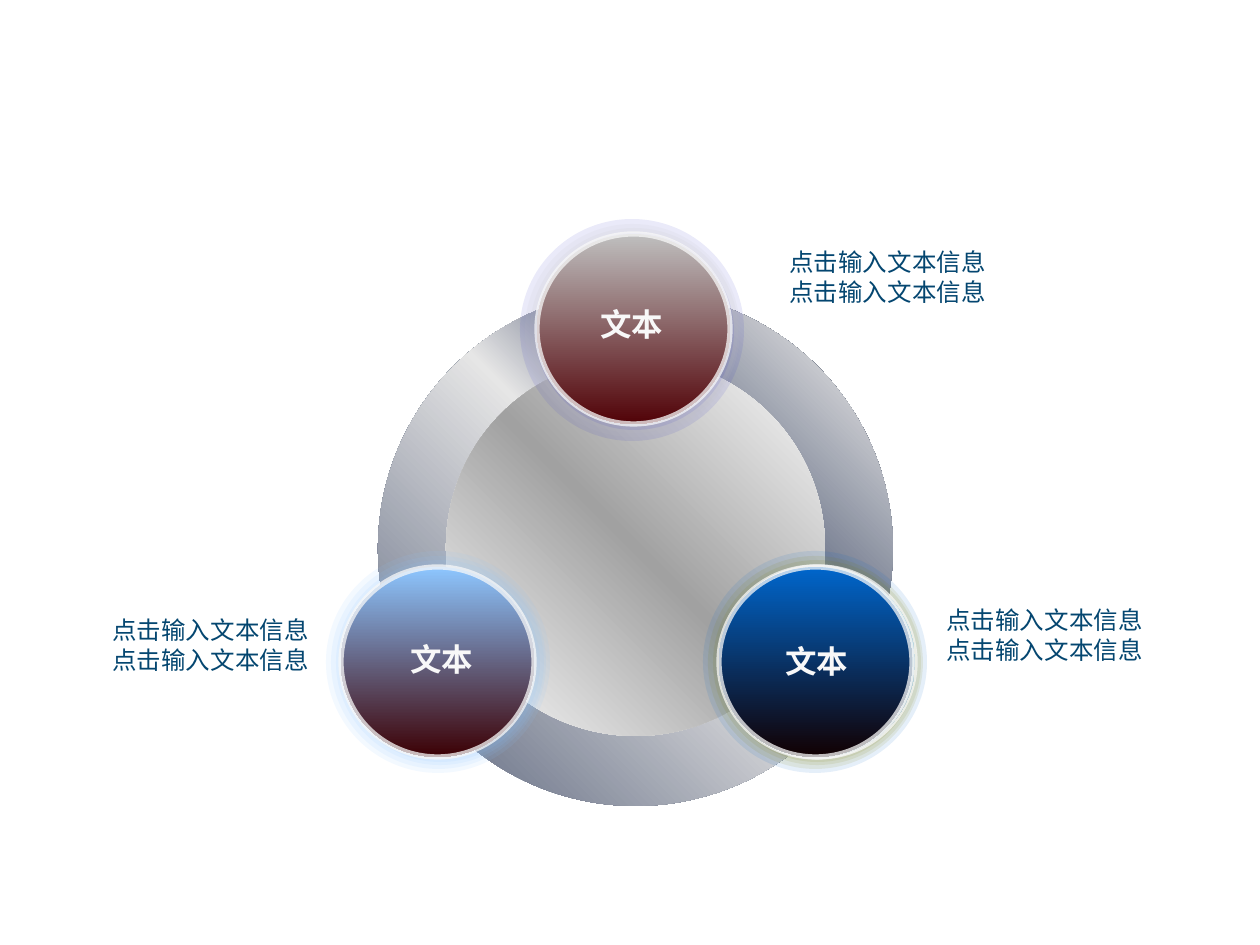
from lxml import etree
from pptx import Presentation
from pptx.dml.color import RGBColor as RGB
from pptx.enum.shapes import MSO_SHAPE as SHAPE
from pptx.enum.text import MSO_AUTO_SIZE as FIT, PP_ALIGN as ALIGN
from pptx.oxml.ns import qn
from pptx.util import Pt

EMU = 914400 / 126  # one px
C = dict(white="FFFFFF", silver="E6E6E6", slate="7D8496", grey="A1A1A1",
         text="044670", edge="F8F8F8", violet="3333CC", ash="BFBFBF",
         maroon="510207", sky="8DC6FF", wine="3C0004", blue="0066CC",
         olive="817E00", black="120001", cyan="0099CC", teal="003141")


def add_circle(x, y, w, h, stops, angle=0, alpha=100, edge=False):
    """Ellipse with a solid colour name, or a list of (percent, colour) stops."""
    sp = s.shapes.add_shape(SHAPE.OVAL, *[round(v * EMU) for v in (x, y, w, h)])
    sp.shadow.inherit = False
    if isinstance(stops, str):
        sp.fill.solid()
        sp.fill.fore_color.rgb = RGB.from_string(C[stops])
        set_alpha = sp.fill._xPr.find(".//" + qn("a:srgbClr"))
        etree.SubElement(set_alpha, qn("a:alpha"), val=str(alpha * 1000))
    else:
        sp.fill.gradient()
        grad = sp._element.spPr.find(qn("a:gradFill"))
        gs_list = grad.find(qn("a:gsLst"))
        for gs in list(gs_list):
            gs_list.remove(gs)
        for pos, name in stops:
            gs = etree.SubElement(gs_list, qn("a:gs"), pos=str(pos * 1000))
            etree.SubElement(gs, qn("a:srgbClr"), val=C[name])
        grad.find(qn("a:lin")).set("ang", str(angle * 60000))
    if edge:
        sp.line.color.rgb = RGB.from_string(C["edge"])
        sp.line.width = Pt(3)
        clr = sp.line._ln.find(".//" + qn("a:srgbClr"))
        etree.SubElement(clr, qn("a:alpha"), val="75000")
    else:
        sp.line.fill.background()


def add_text(x, y, w, h, lines, size, color, align=ALIGN.LEFT, bold=False):
    tf = s.shapes.add_textbox(*[round(v * EMU) for v in (x, y, w, h)]).text_frame
    tf.word_wrap = True
    tf.auto_size = FIT.SHAPE_TO_FIT_TEXT
    tf.text = "\n".join(lines)
    for p in tf.paragraphs:
        p.alignment = align
        for r in p.runs:
            r.font.name, r.font.size, r.font.bold = "Arial", Pt(size), bold
            r.font.color.rgb = RGB.from_string(C[color])


prs = Presentation()
prs.slide_width, prs.slide_height = round(1260 * EMU), round(945 * EMU)
s = prs.slides.add_slide(prs.slide_layouts[6])

# Ring and its inner disc
add_circle(378, 291, 515, 515, [(0, "silver"), (15, "slate"), (53, "silver"),
                                (68, "slate"), (93, "silver"), (100, "white")], 315)
add_circle(446, 358, 379, 378, [(0, "white"), (50, "grey"), (100, "white")], 315)

# Captions
for x, y, w in [(777, 241, 282), (100, 609, 268), (934, 599, 282)]:
    add_text(x, y, w, 72, ["点击输入文本信息"] * 2, 14, "text")

# Nodes: origin, halo colours, discs (dx, dy, top, bottom), label offset
halos = [(0, 0, 224, 222), (5, 5, 215, 213), (10, 9, 208, 205), (15, 14, 199, 197)]
nodes = [
    (520, 219, ["violet", "ash", "ash", "violet"],
     [(17, 15, "ash", "maroon")], (8, 80)),
    (326, 551, ["sky"] * 4, [(15, 16, "sky", "wine")], (12, 83)),
    (703, 551, ["blue"] + ["olive"] * 3,
     [(19, 16, "cyan", "teal"), (16, 16, "blue", "black")], (10, 85)),
]
for x, y, colors, discs, (tx, ty) in nodes:
    for (dx, dy, w, h), color in zip(halos, colors):
        add_circle(x + dx, y + dy, w, h, color, alpha=10)
    for dx, dy, top, bottom in discs:
        add_circle(x + dx, y + dy, 193, 190, [(0, top), (100, bottom)], 90, edge=True)
    add_text(x + tx, y + ty, 200, 50, [" 文本"], 18, "edge", ALIGN.CENTER, True)

prs.save("out.pptx")
